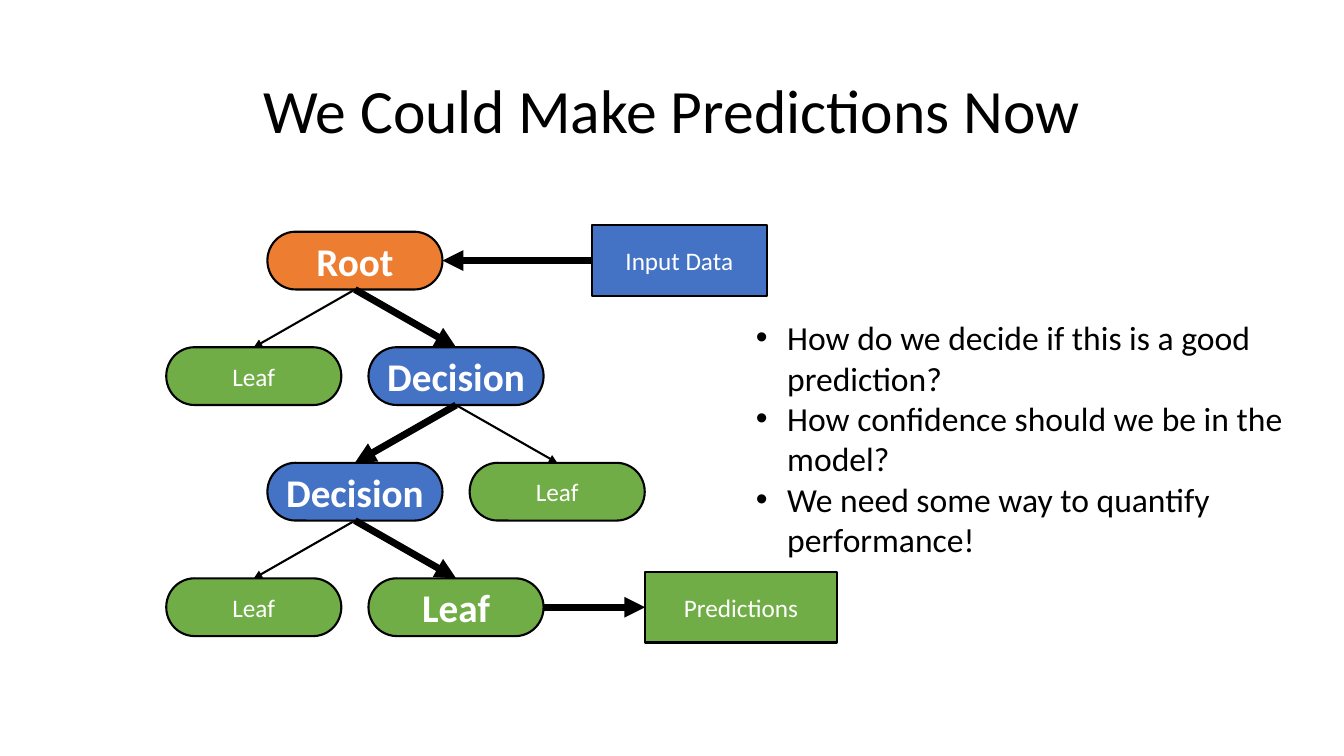
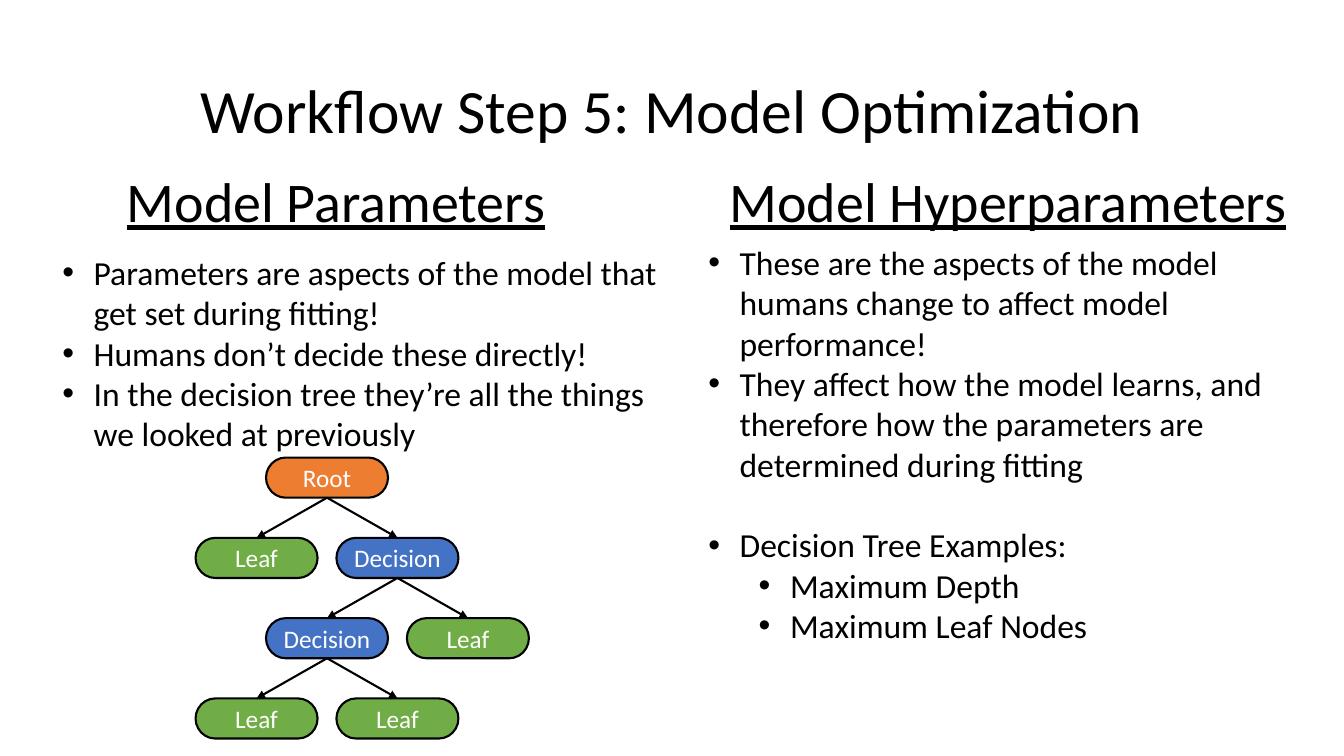
from lxml.etree import SubElement
from pptx import Presentation
from pptx.dml.color import RGBColor
from pptx.enum.shapes import MSO_CONNECTOR, MSO_SHAPE
from pptx.enum.text import MSO_ANCHOR, PP_ALIGN
from pptx.oxml.ns import qn
from pptx.util import Cm, Pt

FONT = "Calibri"
BLACK = RGBColor(0x00, 0x00, 0x00)
WHITE = RGBColor(0xFF, 0xFF, 0xFF)
ORANGE = RGBColor(0xED, 0x7D, 0x31)
BLUE = RGBColor(0x44, 0x72, 0xC4)
GREEN = RGBColor(0x70, 0xAD, 0x47)

SLIDE_W, SLIDE_H = Cm(33.87), Cm(19.05)
TITLE_BOX = Cm(2.33), Cm(1.01), Cm(29.21), Cm(3.68)
HEAD_TOP, HEAD_H = Cm(3.3), Cm(3.68)
THIN, THICK = Pt(1.5), Pt(5)
TOP, LEFT, BOTTOM, RIGHT = range(4)

NODE_FILL = {"Root": ORANGE, "Decision": BLUE, "Leaf": GREEN}
TREE = {
    (0, 1): "Root",
    (1, 0): "Leaf",
    (1, 2): "Decision",
    (2, 1): "Decision",
    (2, 3): "Leaf",
    (3, 0): "Leaf",
    (3, 2): "Leaf",
}
PREDICTION_PATH = [(0, 1), (1, 2), (2, 1), (3, 2)]


def add_run(p, text, size, color=BLACK, bold=False, underline=False):
    r = p.add_run()
    r.text = text
    r.font.name = FONT
    r.font.size = Pt(size)
    r.font.color.rgb = color
    r.font.bold = bold
    r.font.underline = underline


def add_heading(s, box, text, size, underline=False):
    tf = s.shapes.add_textbox(*box).text_frame
    tf.word_wrap = True
    tf.vertical_anchor = MSO_ANCHOR.MIDDLE
    p = tf.paragraphs[0]
    p.alignment = PP_ALIGN.CENTER
    p.line_spacing = 0.9
    add_run(p, text, size, underline=underline)


def add_bullets(s, box, items):
    tf = s.shapes.add_textbox(*box).text_frame
    tf.word_wrap = True
    for i, (text, level, gap) in enumerate(items):
        p = tf.paragraphs[0] if i == 0 else tf.add_paragraph()
        p.level = level
        p.space_before = Pt(gap)
        pPr = p._p.get_or_add_pPr()
        pPr.set("marL", str(Cm(0.79 + 1.27 * level)))
        pPr.set("indent", str(-Cm(0.79)))
        SubElement(pPr, qn("a:buFont")).set("typeface", "Arial")
        SubElement(pPr, qn("a:buChar")).set("char", "•")
        add_run(p, text, 24)


def add_node(s, preset, box, text, fill, strong=False):
    sp = s.shapes.add_shape(preset, *box)
    sp.shadow.inherit = False
    sp.fill.solid()
    sp.fill.fore_color.rgb = fill
    sp.line.color.rgb = BLACK
    sp.line.width = THIN
    tf = sp.text_frame
    tf.word_wrap = False
    tf.margin_left = tf.margin_right = tf.margin_top = tf.margin_bottom = 0
    tf.vertical_anchor = MSO_ANCHOR.MIDDLE
    p = tf.paragraphs[0]
    p.alignment = PP_ALIGN.CENTER
    add_run(p, text, 28 if strong else 18, WHITE, bold=strong)
    return sp


def add_arrow(s, start, start_side, end, end_side, width):
    cx = s.shapes.add_connector(MSO_CONNECTOR.STRAIGHT, 0, 0, 0, 0)
    cx.begin_connect(start, start_side)
    cx.end_connect(end, end_side)
    cx.line.color.rgb = BLACK
    cx.line.width = width
    SubElement(cx.line._get_or_add_ln(), qn("a:tailEnd")).set("type", "triangle")
    SubElement(cx._element.spPr, qn("a:effectLst"))


def add_tree(s, box, strong=()):
    left, top, width, height = box
    node_w, node_h = int(width * 0.366), height // 7
    step = (width - node_w) // 3
    nodes = {}
    for (row, col), label in TREE.items():
        node_box = left + col * step, top + 2 * row * node_h, node_w, node_h
        nodes[row, col] = add_node(s, MSO_SHAPE.FLOWCHART_TERMINATOR, node_box,
                                   label, NODE_FILL[label], (row, col) in strong)
    for (row, col), label in TREE.items():
        if label == "Leaf":
            continue
        for child in ((row + 1, col - 1), (row + 1, col + 1)):
            width = THICK if child in strong else THIN
            add_arrow(s, nodes[row, col], BOTTOM, nodes[child], TOP, width)
    return nodes


def add_data_box(s, node, left, width, text, fill):
    height = Cm(1.78)
    box = left, node.top + (node.height - height) // 2, width, height
    return add_node(s, MSO_SHAPE.FLOWCHART_PROCESS, box, text, fill)


def add_titled_slide(prs, title):
    s = prs.slides.add_slide(prs.slide_layouts[6])
    add_heading(s, TITLE_BOX, title, 44)
    return s


def add_column(s, left, heading, bullet_box, items):
    add_heading(s, (left, HEAD_TOP, SLIDE_W // 2, HEAD_H), heading, 40, underline=True)
    add_bullets(s, bullet_box, items)


def build_predictions(prs):
    s = add_titled_slide(prs, "We Could Make Predictions Now")
    nodes = add_tree(s, (Cm(4.19), Cm(5.84), Cm(12.06), Cm(10.19)), PREDICTION_PATH)
    root, leaf = nodes[PREDICTION_PATH[0]], nodes[PREDICTION_PATH[-1]]
    data = add_data_box(s, root, Cm(14.91), Cm(4.42), "Input Data", BLUE)
    result = add_data_box(s, leaf, Cm(16.26), Cm(4.83), "Predictions", GREEN)
    add_arrow(s, data, LEFT, root, RIGHT, THICK)
    add_arrow(s, leaf, RIGHT, result, LEFT, THICK)
    add_bullets(s, (Cm(18.8), Cm(7.87), Cm(15.6), Cm(7.44)), [
        ("How do we decide if this is a good prediction?", 0, 0),
        ("How confidence should we be in the model?", 0, 0),
        ("We need some way to quantify performance!", 0, 0),
    ])


def build_optimization(prs):
    s = add_titled_slide(prs, "Workflow Step 5: Model Optimization")
    add_tree(s, (Cm(4.93), Cm(11.53), Cm(8.4), Cm(7.08)))
    add_column(s, 0, "Model Parameters", (Cm(1.32), Cm(6.22), Cm(15.6), Cm(6.4)), [
        ("Parameters are aspects of the model that get set during fitting!", 0, 0),
        ("Humans don’t decide these directly!", 0, 0),
        ("In the decision tree they’re all the things we looked at previously", 0, 0),
    ])
    add_column(s, SLIDE_W // 2, "Model Hyperparameters",
               (Cm(17.6), Cm(5.97), Cm(15.6), Cm(11.53)), [
        ("These are the aspects of the model humans change to affect model performance!", 0, 0),
        ("They affect how the model learns, and therefore how the parameters are "
         "determined during fitting", 0, 0),
        ("Decision Tree Examples:", 0, 29),
        ("Maximum Depth", 1, 0),
        ("Maximum Leaf Nodes", 1, 0),
    ])


def main():
    prs = Presentation()
    prs.slide_width, prs.slide_height = SLIDE_W, SLIDE_H
    build_predictions(prs)
    build_optimization(prs)
    prs.save("out.pptx")


if __name__ == "__main__":
    main()
